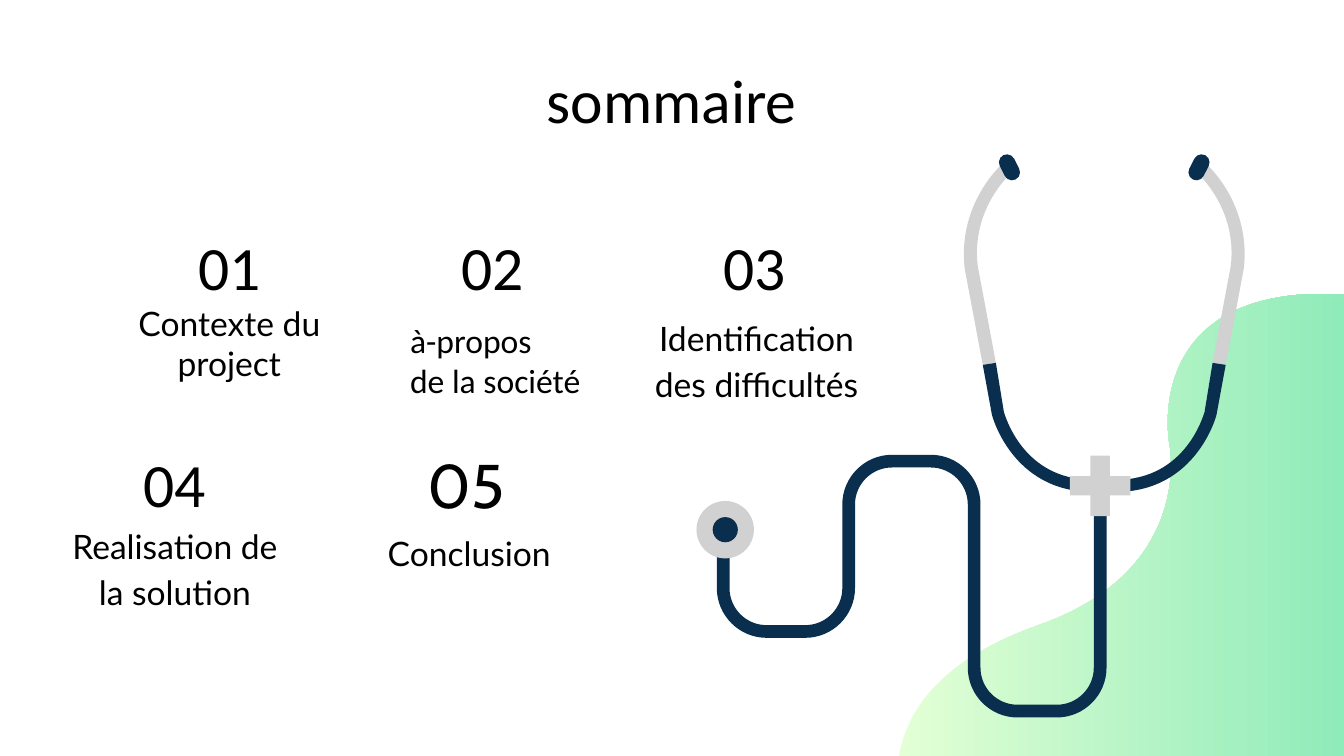
from lxml import etree
from pptx import Presentation
from pptx.dml.color import RGBColor
from pptx.enum.shapes import MSO_SHAPE
from pptx.enum.text import MSO_ANCHOR, PP_ALIGN
from pptx.oxml.ns import qn
from pptx.util import Inches, Pt

CENTER, LEFT = PP_ALIGN.CENTER, PP_ALIGN.LEFT
TOP, MIDDLE = MSO_ANCHOR.TOP, MSO_ANCHOR.MIDDLE
OVAL, PLUS, PILL = MSO_SHAPE.OVAL, MSO_SHAPE.CROSS, MSO_SHAPE.ROUNDED_RECTANGLE

COLUMNS, ROWS = 4000 / 3, 750
BLACK, NAVY, SILVER = "000000", "0A2E4E", "D1D1D1"
PALE_GREEN, MINT = "E3FFD5", "90EBBA"
AXIS = 1095.5
ARC = 0.55


def color(value):
    return RGBColor.from_string(value)


def mirror(steps):
    return [tuple(2 * AXIS - v if i % 2 == 0 else v for i, v in enumerate(step))
            for step in steps]


def direction(start, end):
    dx, dy = end[0] - start[0], end[1] - start[1]
    length = abs(dx) + abs(dy)
    return dx / length, dy / length


def tube_side(route, radius, half):
    dx, dy = direction(route[0], route[1])
    steps = [(route[0][0] + dy * half, route[0][1] - dx * half)]
    for before, corner, after in zip(route, route[1:], route[2:]):
        ix, iy = direction(before, corner)
        ox, oy = direction(corner, after)
        turn = ix * oy - iy * ox
        x = corner[0] + (iy + oy) * half
        y = corner[1] - (ix + ox) * half
        bend = radius + turn * half
        pull = bend * (1 - ARC)
        steps.append((x - ix * bend, y - iy * bend))
        steps.append((x - ix * pull, y - iy * pull, x + ox * pull, y + oy * pull,
                      x + ox * bend, y + oy * bend))
    dx, dy = direction(route[-2], route[-1])
    return steps + [(route[-1][0] + dy * half, route[-1][1] - dx * half)]


def tube(route, radius, width):
    return (tube_side(route, radius, width / 2)
            + tube_side(route[::-1], radius, width / 2))


class SlideBuilder:
    def __init__(self, deck):
        self.cell_width = deck.slide_width / COLUMNS
        self.cell_height = deck.slide_height / ROWS
        self.inset = Pt(9.6)
        self.shapes = deck.slides.add_slide(deck.slide_layouts[6]).shapes

    def place(self, column, row):
        return round(column * self.cell_width), round(row * self.cell_height)

    def paint(self, shape, fill):
        shape.shadow.inherit = False
        shape.line.fill.background()
        if isinstance(fill, str):
            shape.fill.solid()
            shape.fill.fore_color.rgb = color(fill)
        else:
            shape.fill.gradient()
            shape.fill.gradient_angle = 0
            for stop, value in zip(shape.fill.gradient_stops, fill):
                stop.color.rgb = color(value)

    def outline(self, steps, fill):
        start, *rest = steps
        builder = self.shapes.build_freeform(*self.place(*start), scale=1.0)
        builder.add_line_segments([self.place(*step[i:i + 2]) for step in rest
                                   for i in range(0, len(step), 2)], close=True)
        shape = builder.convert_to_shape()
        segments = iter(list(shape.element.iter(qn("a:lnTo"))))
        for step in rest:
            segment = next(segments)
            if len(step) == 6:
                curve = etree.Element(qn("a:cubicBezTo"))
                segment.addprevious(curve)
                for part in (segment, next(segments), next(segments)):
                    curve.append(part[0])
                    part.getparent().remove(part)
        self.paint(shape, fill)

    def preset(self, kind, center, size, fill, adjustment=None, rotation=0):
        corner = self.place(center[0] - size[0] / 2, center[1] - size[1] / 2)
        shape = self.shapes.add_shape(kind, *corner, *self.place(*size))
        if adjustment is not None:
            shape.adjustments[0] = adjustment
        shape.rotation = rotation
        self.paint(shape, fill)

    def text(self, wording, corner, size, points, font, align=CENTER,
             anchor=TOP, spacing=None, padded=True, wrap=True):
        frame = self.shapes.add_textbox(*self.place(*corner), *self.place(*size)).text_frame
        frame.word_wrap = wrap
        frame.vertical_anchor = anchor
        if padded:
            frame.margin_left = frame.margin_right = self.inset
            frame.margin_top = frame.margin_bottom = self.inset
        frame.text = wording
        for paragraph in frame.paragraphs:
            paragraph.alignment = align
            paragraph.line_spacing = spacing
            for run in paragraph.runs:
                run.font.size = Pt(points)
                run.font.name = font
                run.font.color.rgb = color(BLACK)


def draw_stethoscope(page):
    metal_arm = [
        (1191, 159), (1186, 159, 1182, 166, 1187, 171),
        (1187, 171, 1228, 206, 1221, 264), (1203, 360), (1216, 362), (1234, 266),
        (1241, 201, 1197, 163, 1195, 161), (1194, 160, 1192, 159, 1191, 159)]
    rubber_arm = [
        (1203, 360), (1195, 409), (1194, 411, 1177, 476, 1107, 476),
        (1104, 476, 1101, 475, 1098, 475), (1094, 475, 1092, 478, 1091, 481),
        (1091, 485, 1094, 488, 1097, 488), (1101, 488, 1104, 488, 1107, 488),
        (1187, 488, 1207, 412, 1207, 411), (1216, 362)]
    tip = (1189.5, 166)
    for side in (1, -1):
        for arm, fill in ((metal_arm, SILVER), (rubber_arm, NAVY)):
            page.outline(arm if side == 1 else mirror(arm), fill)
        center = tip if side == 1 else mirror([tip])[0]
        page.preset(PILL, center, (16, 27), NAVY, 0.5, 27 * side)

    hose = [(717.5, 501), (717.5, 626.5), (842, 626.5), (842, 457.5),
            (966.5, 457.5), (966.5, 705.5), (1091.5, 705.5), (1091.5, 488)]
    page.outline(tube(hose, 43, 12.6), NAVY)
    page.preset(PLUS, (1091.5, 482), (60, 60), SILVER, 0.34)
    for diameter, fill in ((57, SILVER), (25, NAVY)):
        page.preset(OVAL, (719.5, 525.5), (diameter, diameter), fill)


def main():
    deck = Presentation()
    deck.slide_width, deck.slide_height = Inches(40 / 3), Inches(7.5)
    page = SlideBuilder(deck)

    hill = [(892, 750), (897, 718, 920, 659, 1031, 620),
            (1187, 565, 1160, 439, 1160, 439), (1160, 439, 1131, 281, COLUMNS, 292),
            (COLUMNS, 750)]
    page.outline(hill, (PALE_GREEN, MINT))

    page.text("sommaire", (105, 79), (1123, 47), 44, "Calibri", anchor=MIDDLE, spacing=0.9)
    number_size, caption_size = (245, 59), (245, 47)
    for number, corner in (("01", (105, 214)), ("02", (366, 214)),
                           ("03", (626, 214)), ("04", (51, 429))):
        page.text(number, corner, number_size, 44, "Calibri")
    for caption, corner, spacing in (
            ("Contexte du project", (105, 287), None),
            ("Identification des difficultés", (628, 296), 1.15),
            ("Realisation de la solution", (51, 502), 1.15),
            ("Conclusion", (343, 515), None)):
        page.text(caption, corner, caption_size, 24, "Lato", spacing=spacing)

    draw_stethoscope(page)
    page.text("à-propos\nde la société", (397, 312), (191, 91), 24, "Calibri",
              align=LEFT, padded=False, wrap=False)
    page.text("05", (414, 438), (145, 84), 44, "Cabin", align=LEFT, padded=False)
    deck.save("out.pptx")


if __name__ == "__main__":
    main()
